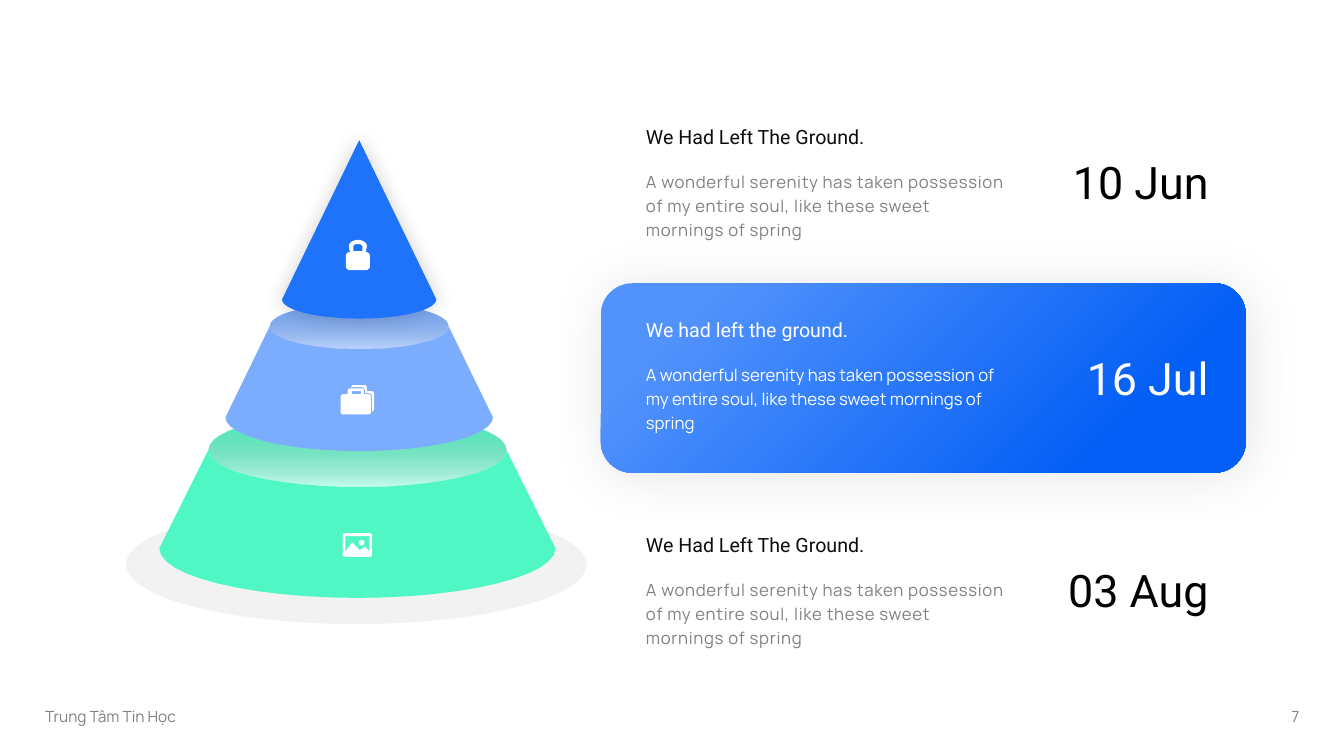
from dataclasses import dataclass
from math import cos, pi, sin

from lxml import etree
from pptx import Presentation
from pptx.dml.color import RGBColor
from pptx.enum import shapes as kinds, text as txt
from pptx.oxml import ns
from pptx.util import Pt


@dataclass(frozen=True)
class Theme:
    head: str = "Roboto"
    body: str = "Manrope"
    white: str = "FFFFFF"
    black: str = "000000"
    ink: str = "0D0D0D"
    gray: str = "808080"
    base: str = "F2F2F2"
    shade: str = "767676"
    green: str = "4FF7C5"
    sky: str = "7BACFD"
    blue: str = "1E73FA"
    light: str = "5292FC"
    deep: str = "045FF6"
    date: int = 32
    title: int = 14
    copy: int = 12
    foot: int = 11


T = Theme()


def rgb(code):
    return RGBColor.from_string(code)


def paint(shape, color):
    shape.shadow.inherit = False
    shape.line.fill.background()
    shape.fill.solid()
    shape.fill.fore_color.rgb = rgb(color)
    return shape


def blend(shape, stops, angle):
    shape.fill.gradient()
    shape.fill.gradient_angle = 360 - angle
    for stop, (pos, color, _) in zip(shape.fill.gradient_stops, stops):
        stop.position = pos
        stop.color.rgb = rgb(color)
    tones = shape._element.spPr.iter(ns.qn("a:srgbClr"))
    for tone, (_, _, alpha) in zip(tones, stops):
        etree.SubElement(tone, ns.qn("a:alpha"), val=str(alpha * 1000))


def shadow(shape, alpha, blur, dist, angle):
    effects = shape._element.spPr.find(ns.qn("a:effectLst"))
    outer = etree.SubElement(
        effects, ns.qn("a:outerShdw"), blurRad=str(Pt(blur)), dist=str(Pt(dist)),
        dir=str(angle * 60000), algn="ctr", rotWithShape="0")
    tone = etree.SubElement(outer, ns.qn("a:srgbClr"), val=T.black)
    etree.SubElement(tone, ns.qn("a:alpha"), val=str(alpha * 1000))


def write(slide, text, box, size, color, font=T.body, right=False,
          low=False, lead=None, space=0):
    shape = slide.shapes.add_textbox(*map(Pt, box))
    frame = shape.text_frame
    frame.word_wrap = True
    frame.auto_size = txt.MSO_AUTO_SIZE.SHAPE_TO_FIT_TEXT
    frame.vertical_anchor = txt.MSO_ANCHOR.BOTTOM if low else txt.MSO_ANCHOR.TOP
    para = frame.paragraphs[0]
    para.alignment = txt.PP_ALIGN.RIGHT if right else txt.PP_ALIGN.LEFT
    if lead:
        para.line_spacing = lead
    run = para.add_run()
    run.text = text
    run.font.name, run.font.size = font, Pt(size)
    run.font.color.rgb = rgb(color)
    if space:
        run._r.get_or_add_rPr().set("spc", str(int(space * 100)))


def arc(x, y, rx, ry, start, end, steps=24):
    turns = [start + (end - start) * i / steps for i in range(steps + 1)]
    return [(x + rx * cos(pi * t), y + ry * sin(pi * t)) for t in turns]


def block(x, y, w, h, r):
    spots = [(x + r, y + r), (x + w - r, y + r),
             (x + w - r, y + h - r), (x + r, y + h - r)]
    return [p for i, (cx, cy) in enumerate(spots)
            for p in arc(cx, cy, r, r, 1 + i / 2, 1.5 + i / 2, 6)]


def trace(slide, loops, color, x=0, y=0):
    loops = [[(Pt(x + a), Pt(y + b)) for a, b in loop] for loop in loops]
    pen = slide.shapes.build_freeform(*loops[0][0])
    for i, loop in enumerate(loops):
        if i:
            pen.move_to(*loop[0])
        pen.add_line_segments(loop[1:], close=True)
    return paint(pen.convert_to_shape(), color)


def lock():
    body = block(0, 8.6, 17.3, 13, 3)
    bow = arc(8.65, 4.5, 6.5, 4.5, 1, 2)
    hole = arc(8.65, 4.5, 3.2, 1.6, 1, 2) + [(11.85, 8), (5.45, 8)]
    return [bow + body[7:] + body[:7], hole]


def cases():
    body = block(0, 6.5, 21.6, 14.4, 1.6)
    grip = [(5, 6.5), (5, 3.2), (5.8, 2.4), (15.8, 2.4), (16.6, 3.2), (16.6, 6.5)]
    hole = [(7.9, 4.3), (14.4, 4.3), (14.4, 6.5), (7.9, 6.5)]
    rear = [(22.3, 4.3), (23.3, 4.7), (23.8, 5.8), (23.8, 17.3), (22.3, 19.4),
            (22.3, 7.9), (21.8, 6.4), (20.2, 5.8), (17.3, 5.8), (17.3, 2.9),
            (15.8, 1.4), (7.2, 1.4), (8.6, 0), (17.9, 0), (18.7, 1.4), (18.7, 4.3)]
    return [body[:7] + grip + body[7:], hole, rear]


def photo():
    hills = [(2, 2), (19, 2), (19, 13), (15.9, 9.4), (12.2, 12.2), (6.8, 6.5), (2, 13)]
    return [block(0, 0, 21, 16.8, 1.4), hills, arc(13.5, 6.7, 2, 2, 0, 2)]


def tier(slide, x, top, low, color, glow=0):
    outline = arc(x, *low, 0, 1)
    outline += arc(x, *top, 1, 2) if top[1] else [(x, top[0])]
    cone = trace(slide, [outline], color)
    if glow:
        lid = trace(slide, [arc(x, *top, 0, 2, 48)], color)
        blend(lid, [(0, T.shade, 0), (1, T.white, glow)], 90)
    return cone


def pyramid(slide, x, y):
    floor = slide.shapes.add_shape(
        kinds.MSO_SHAPE.OVAL, Pt(x), Pt(y + 260.6), Pt(329), Pt(85))
    paint(floor, T.base)

    def level(mid, top, low, color, icon, at, glow=0):
        top, low = [(y + end[0], *end[1:]) for end in (top, low)]
        cone = tier(slide, x + mid, top, low, color, glow)
        trace(slide, icon, T.white, x + at[0], y + at[1])
        return cone

    level(165.3, (221, 106.3, 26.6), (291.6, 141.5, 35.4),
          T.green, photo(), (154.8, 280.8), 67)
    level(166.6, (132.8, 63.8, 16.2), (198, 95.5, 24.1),
          T.sky, cases(), (153.4, 175), 48)
    peak = level(166.6, (0, 0, 0), (113.8, 55.1, 13.7), T.blue, lock(), (157, 71.3))
    shadow(peak, 19, 14, 0, 109)


def entry(slide, x, y, title, date, drop, tones, space=0.5):
    copy = ("A wonderful serenity has taken possession of my entire soul, "
            "like these sweet mornings of spring")
    write(slide, title, (x, y, 239, 24.2), T.title, tones[0], T.head, low=True)
    write(slide, copy, (x, y + 30.6, 272.9, 58.3), T.copy, tones[1],
          lead=1.2, space=space)
    write(slide, date, (x + 264.2, y + drop, 151.9, 46), T.date, tones[2],
          T.head, right=True)


def card(slide, x, y, w, h):
    panel = slide.shapes.add_shape(
        kinds.MSO_SHAPE.ROUNDED_RECTANGLE, *map(Pt, (x, y, w, h)))
    paint(panel, T.blue)
    blend(panel, [(0.14, T.light, 100), (0.8, T.deep, 100)], 45)
    shadow(panel, 10, 40, 3, 45)
    entry(slide, x + 25.2, y + 21, "We had left the ground.", "16 Jul", 23.7,
          (T.white,) * 3, 0)


def footer(slide, x, y, w):
    half = 375.8
    write(slide, "Trung Tâm Tin Học", (x, y, half, 20.9), T.foot, T.gray, low=True)
    write(slide, "7", (x + w - half, y, half, 20.9), T.foot, T.gray,
          right=True, low=True)


def main():
    deck = Presentation()
    deck.slide_width, deck.slide_height = Pt(960), Pt(540)
    slide = deck.slides.add_slide(deck.slide_layouts[6])
    footer(slide, 25.2, 501.1, 910)
    pyramid(slide, 90, 100.1)
    plain = (T.ink, T.gray, T.black)
    for y, date, drop in ((85.7, "10 Jun", 20.9), (376.8, "03 Aug", 21.4)):
        entry(slide, 454.3, y, "We Had Left The Ground.", date, drop, plain)
    card(slide, 429.1, 202.3, 460.8, 135.4)
    deck.save("out.pptx")


if __name__ == "__main__":
    main()
